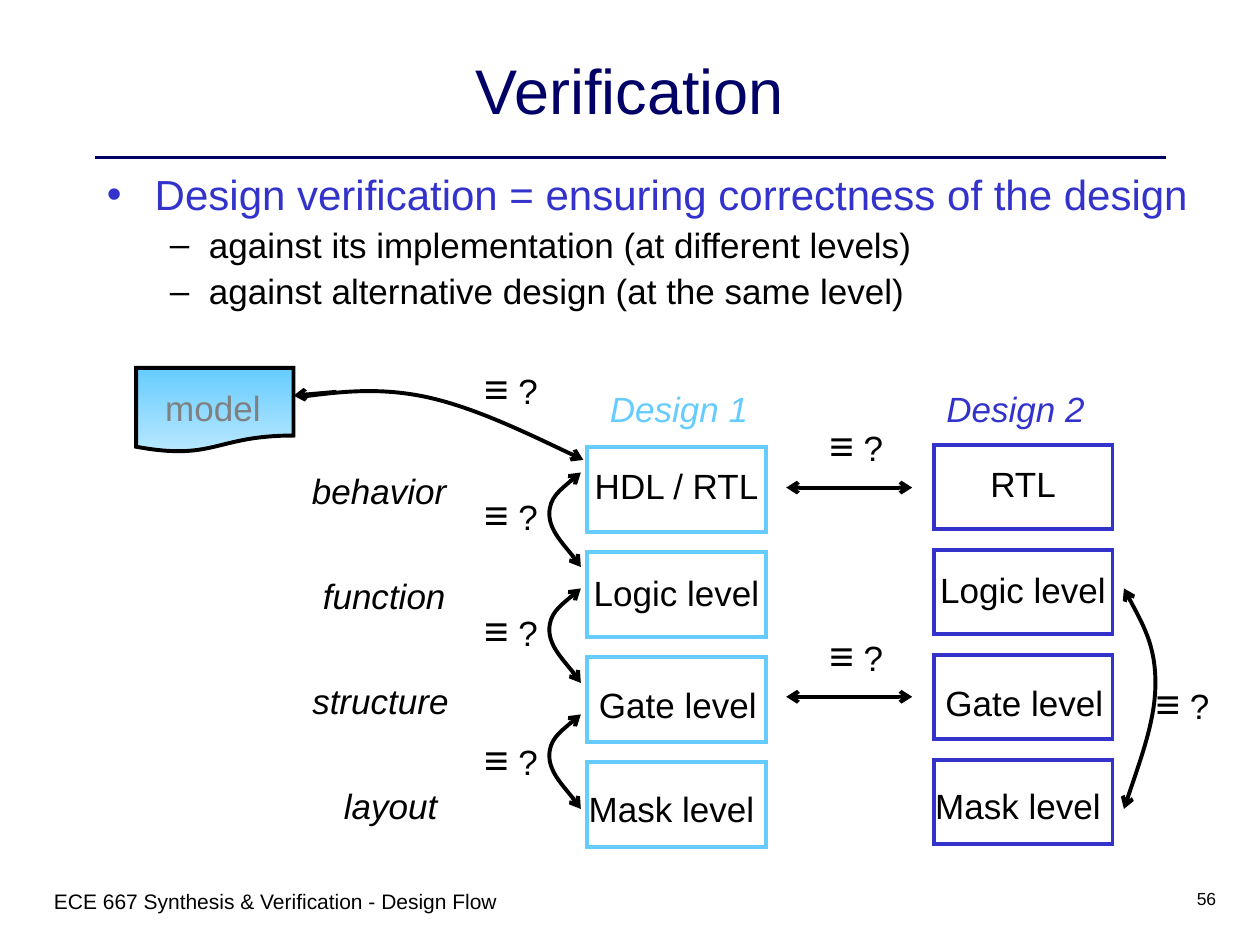
from pptx import Presentation
from pptx.dml.color import RGBColor
from pptx.enum.shapes import MSO_CONNECTOR, MSO_SHAPE
from pptx.enum.text import MSO_ANCHOR, PP_ALIGN
from pptx.oxml.ns import qn
from pptx.util import Inches, Pt
from lxml import etree

LEFT, MID, RIGHT = PP_ALIGN.LEFT, PP_ALIGN.CENTER, PP_ALIGN.RIGHT
TOP, CENTER = MSO_ANCHOR.TOP, MSO_ANCHOR.MIDDLE
RECT, PAGE = MSO_SHAPE.RECTANGLE, MSO_SHAPE.FLOWCHART_DOCUMENT
LINE = MSO_CONNECTOR.STRAIGHT
BLACK, NAVY, BLUE, SKY, GRAY = "000000", "000066", "3333CC", "66CCFF", "808080"

BULLETS = [
    ("Design verification = ensuring correctness of the design", 0),
    ("against its implementation (at different levels)", 1),
    ("against alternative design (at the same level)", 1),
]
STYLES = [("•", 0.38, 0.38, 24, BLUE, 6), ("–", 0.81, 0.31, 20, BLACK, 5)]
STAGES = [("behavior", 3.01), ("function", 3.05), ("structure", 3.02), ("layout", 3.1)]
DESIGNS = [
    ("Design 1", SKY, 4.66, 3.55, 5.39, ["HDL / RTL", "Logic level", "Gate level", "Mask level"]),
    ("Design 2", BLUE, 7.41, 3.53, 8.06, ["RTL", "Logic level", "Gate level", "Mask level"]),
]
NUDGES = [(0, 0.09), (0, 0.1), (0.01, 0.16), (-0.04, 0.15)]
PITCH, BOX_W, BOX_H, LABEL_W = 5 / 6, 1.42, 0.67, 2
CHECKS = [(3.71, 2.83), (3.71, 3.83), (3.71, 4.75), (3.71, 5.77),
          (6.45, 3.28), (6.45, 4.95), (9.04, 5.33)]
LOOPS = [3.75, 4.67, 5.67]
BEND = [(0.25, 0), (0.13, 0.1), (0, 0.2), (0, 0.33), (0, 0.46), (0.21, 0.68), (0.25, 0.75)]
SPAN = [(8.92, 4.67), (9.04, 4.9), (9.17, 5.12), (9.17, 5.42),
        (9.17, 5.71), (9.04, 6.06), (8.92, 6.42)]
SWEEP = [(2.38, 3.15), (2.69, 3.11), (3, 3.07), (3.38, 3.15),
         (3.75, 3.23), (4.19, 3.44), (4.63, 3.65)]

prs = Presentation()
prs.slide_width, prs.slide_height = Inches(10), Inches(7.5)
shapes = prs.slides.add_slide(prs.slide_layouts[6]).shapes


def color(code):
    return RGBColor.from_string(code)


def style(font, size, code, italic=False):
    font.name, font.size, font.italic = "Arial", Pt(size), italic
    font.color.rgb = color(code)


def frame(x, y, w, h, wrap=True):
    box = shapes.add_textbox(*map(Inches, (x, y, w, h))).text_frame
    box.word_wrap = wrap
    return box


def text(words, x, y, w, h, size=20, code=BLACK, align=MID, anchor=TOP, italic=False, wrap=True):
    box = frame(x, y, w, h, wrap)
    box.text, box.vertical_anchor = words, anchor
    para = box.paragraphs[0]
    para.alignment = align
    style(para.runs[0].font, size, code, italic)
    return para


def label(words, mid, y, code=BLACK, italic=False):
    text(words, mid - LABEL_W / 2, y, LABEL_W, 0.44, code=code, italic=italic, wrap=False)


def stroke(item, code=BLACK, head=False, tail=False):
    item.line.color.rgb, item.line.width = color(code), Pt(2.25)
    pen = item.line._get_or_add_ln()
    etree.SubElement(pen, qn("a:miter"), lim="800000")
    for tag, shown in (("a:headEnd", head), ("a:tailEnd", tail)):
        if shown:
            etree.SubElement(pen, qn(tag), type="arrow")


def line(x1, y1, x2, y2, code=BLACK, head=False, tail=False):
    item = shapes.add_connector(LINE, *map(Inches, (x1, y1, x2, y2)))
    stroke(item, code, head, tail)
    etree.SubElement(item._element.spPr, qn("a:effectLst"))


def shape(kind, x, y, w, h, code):
    item = shapes.add_shape(kind, *map(Inches, (x, y, w, h)))
    item.shadow.inherit = False
    item.fill.background()
    stroke(item, code)
    return item


def curve(points, head=True):
    dots = [(Inches(x), Inches(y)) for x, y in points]
    pen = shapes.build_freeform(*dots[0], scale=1.0)
    pen.add_line_segments(dots[1:], close=False)
    item = pen.convert_to_shape()
    item.shadow.inherit = False
    item.fill.background()
    stroke(item, head=head, tail=True)
    steps = list(item._element.iter(qn("a:lnTo")))
    track = steps[0].getparent()
    for i in range(0, len(steps), 3):
        bend = etree.SubElement(track, qn("a:cubicBezTo"))
        for step in steps[i:i + 3]:
            bend.append(step[0])
            track.remove(step)


line(0.75, 1.25, 9.25, 1.25, NAVY)
text("Verification", 0.75, 0.25, 8.5, 0.92, 36, NAVY, anchor=CENTER)
text("ECE 667 Synthesis & Verification - Design Flow", 0.33, 7, 4.5, 0.5, 12, align=LEFT)
text("56", 7.67, 7, 2.08, 0.5, 10, align=RIGHT)

body = frame(0.75, 1.33, 8.83, 1.25)
for i, (words, level) in enumerate(BULLETS):
    mark, left, hang, size, code, gap = STYLES[level]
    para = body.add_paragraph() if i else body.paragraphs[0]
    para.text, para.level, para.line_spacing = words, level, 0.9
    para.space_before = Pt(gap if i else 0)
    props = para._p.get_or_add_pPr()
    props.set("marL", str(Inches(left)))
    props.set("indent", str(-Inches(hang)))
    tint = etree.SubElement(props, qn("a:buClr"))
    etree.SubElement(tint, qn("a:srgbClr"), val=code)
    etree.SubElement(props, qn("a:buFont"), typeface="Arial")
    etree.SubElement(props, qn("a:buChar"), char=mark)
    style(para.runs[0].font, size, code)

for row, (words, mid) in enumerate(STAGES):
    label(words, mid, 3.68 + row * PITCH, italic=True)

for name, code, x, y, mid, levels in DESIGNS:
    label(name, mid, 3.03, code, italic=True)
    for row, (words, (dx, dy)) in enumerate(zip(levels, NUDGES)):
        top = y + row * PITCH
        shape(RECT, x, top, BOX_W, BOX_H, code)
        label(words, x + BOX_W / 2 + dx, top + dy)

model = shape(PAGE, 1.08, 2.92, 1.25, BOX_H, BLACK)
model.fill.gradient()
model.fill.gradient_angle = 270
for stop, code in zip(model.fill.gradient_stops, (SKY, "B9E8FF")):
    stop.color.rgb = color(code)
label("model", 1.69, 3.02, GRAY)

for y in LOOPS:
    curve([(4.36 + dx, y + dy) for dx, dy in BEND])
curve(SPAN)
curve(SWEEP, head=False)
line(2.67, 3.11, 2.33, 3.14, tail=True)
for y in (3.87, 5.53):
    line(6.24, y, 7.24, y, head=True, tail=True)

for x, y in CHECKS:
    para = text("≡", x, y, 0.69, 0.5, 24, wrap=False)
    query = para.add_run()
    query.text = " ?"
    style(query.font, 20, BLACK)

prs.save("out.pptx")
